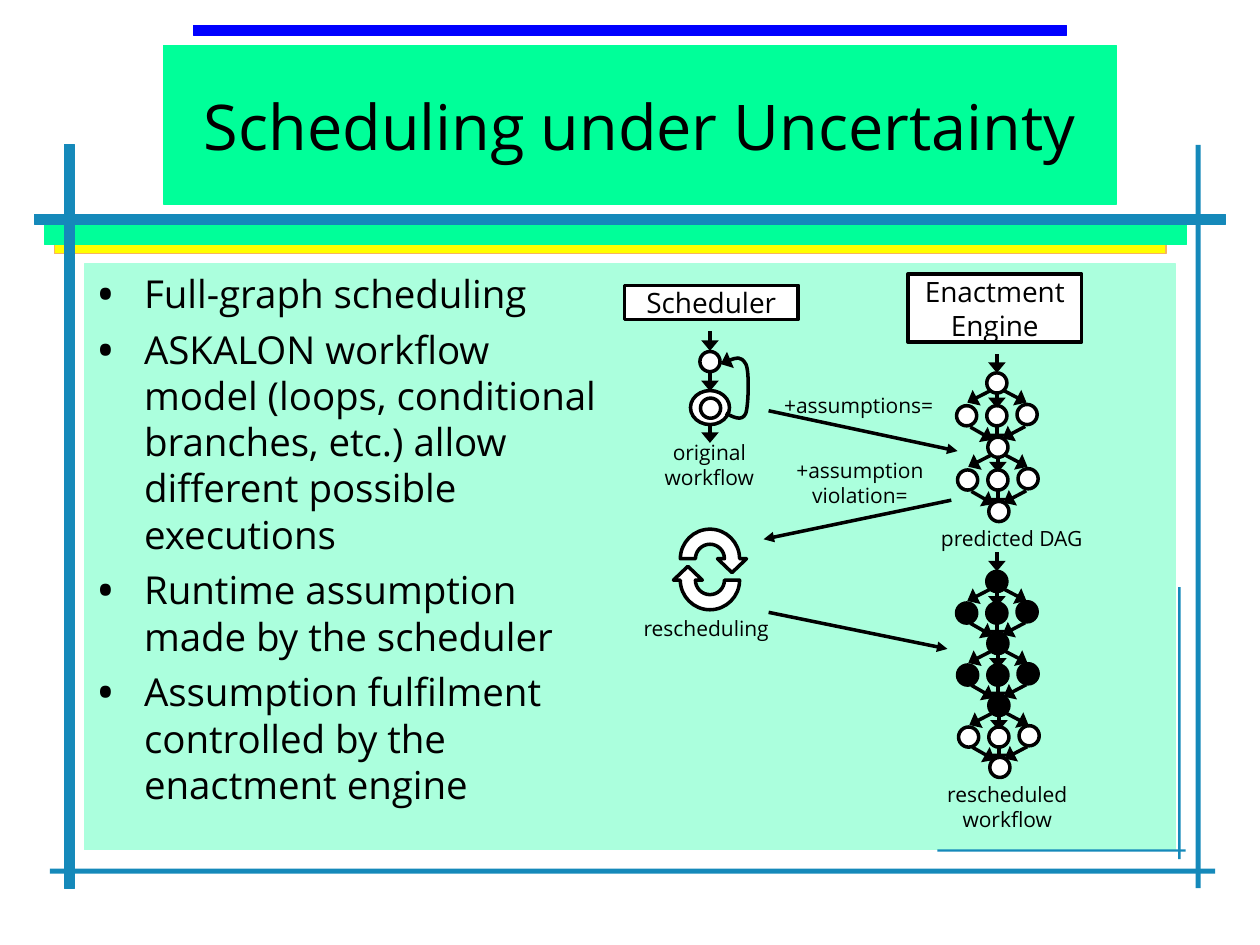
"""Build the slide on scheduling workflows under uncertainty, on a grid of 100 by 75 cells."""
from lxml.etree import SubElement
from pptx import Presentation
from pptx.dml.color import RGBColor
from pptx.enum.shapes import MSO_CONNECTOR as Connector, MSO_SHAPE as Preset
from pptx.enum.text import MSO_ANCHOR as Anchor, PP_ALIGN as Align
from pptx.oxml.ns import qn
from pptx.util import Inches, Pt

COLUMNS, ROWS = 100, 75
CELL = Inches(0.1)
FONT = "Open Sans"
BLACK = RGBColor(0x00, 0x00, 0x00)
WHITE = RGBColor(0xFF, 0xFF, 0xFF)
MINT = RGBColor(0xAB, 0xFF, 0xDD)
GREEN = RGBColor(0x00, 0xFF, 0x99)
YELLOW = RGBColor(0xFF, 0xFF, 0x00)
ORANGE = RGBColor(0xF8, 0xB4, 0x5F)
TEAL = RGBColor(0x15, 0x89, 0xBA)
BLUE = RGBColor(0x00, 0x00, 0xFF)

FRAME = [
    (6.7, 20.95, 86.6, 46.5, MINT, MINT),
    (13, 3.6, 75.6, 12.6, GREEN, GREEN),
    (4.35, 19.35, 88.2, 0.8, YELLOW, ORANGE),
    (3.55, 17.8, 90.6, 1.6, GREEN, GREEN),
    (5.1, 11.5, 0.8, 59, TEAL, TEAL),
    (2.75, 17, 94.5, 0.8, TEAL, TEAL),
    (15.35, 2, 69.3, 0.8, BLUE, BLUE),
    (3.95, 68.95, 92.5, 0.4, TEAL, None),
    (94.9, 11.5, 0.4, 59, TEAL, None),
    (93.5, 46.6, 0.2, 21.6, TEAL, None),
    (74.4, 67.4, 19.7, 0.2, TEAL, None),
]
BULLETS = [
    "Full-graph scheduling",
    "ASKALON workflow model (loops, conditional branches, etc.) allow different possible executions",
    "Runtime assumption made by the scheduler",
    "Assumption fulfilment controlled by the enactment engine",
]
LABELS = [
    (51.7, 34.4, 9.2, 5, ["original", "workflow"], False, Align.CENTER),
    (72.8, 41.2, 15, 3, ["predicted DAG"], True, Align.CENTER),
    (62.2, 35.8, 12.1, 5, ["+assumption", "violation="], False, Align.CENTER),
    (50.1, 48.4, 12.6, 3, ["rescheduling"], True, Align.LEFT),
    (61.2, 30.65, 13.9, 3, ["+assumptions="], False, Align.CENTER),
    (71.3, 61.55, 17.3, 5, ["rescheduled workflow"], True, Align.CENTER),
]
MESSAGES = [
    ((61, 32.6), (76, 35.8)),
    ((75.5, 39.7), (60.6, 42.8)),
    ((61, 48.6), (75.2, 51.5)),
]


def cells(*lengths):
    """Turn grid cells into slide lengths."""
    return [round(length * CELL) for length in lengths]


def style(shape, fill, line, width=2):
    """Set fill and outline of a shape and take its shadow away."""
    shape.shadow.inherit = False
    for paint, color in ((shape.fill, fill), (shape.line.fill, line)):
        if color is None:
            paint.background()
        else:
            paint.solid()
            paint.fore_color.rgb = color
    if line is not None:
        shape.line.width = Pt(width)


def add_preset(slide, preset, box, fill, line, width=2):
    """Add a filled preset shape, outlined if a line colour is given."""
    shape = slide.shapes.add_shape(preset, *cells(*box))
    style(shape, fill, line, width)
    return shape


def add_arrowhead(shape, head="lg"):
    """End the line of a shape in a triangle."""
    SubElement(shape.line._get_or_add_ln(), qn("a:tailEnd"), type="triangle", w=head, len="med")


def add_arrow(slide, start, end, head="lg"):
    """Add a straight black arrow."""
    arrow = slide.shapes.add_connector(Connector.STRAIGHT, *cells(*start, *end))
    arrow.line.color.rgb = BLACK
    arrow.line.width = Pt(2)
    add_arrowhead(arrow, head)
    SubElement(arrow._element.spPr, qn("a:effectLst"))


def add_node(slide, x, y, fill=WHITE, width=1.6, height=1.6):
    """Add a workflow node centred on a point."""
    box = (x - width / 2, y - height / 2, width, height)
    add_preset(slide, Preset.OVAL, box, fill, BLACK)


def add_outline(slide, start, segments, fill, close):
    """Add a black freeform of lines (one point each) and cubic curves (three points each)."""
    builder = slide.shapes.build_freeform(*cells(*start))
    points = [cells(*point) for segment in segments for point in segment]
    builder.add_line_segments(points, close=close)
    shape = builder.convert_to_shape()
    lines = iter(list(shape._element.iter(qn("a:lnTo"))))
    for segment in segments:
        group = [next(lines) for _ in segment]
        if len(group) == 3:
            curve = group[0].makeelement(qn("a:cubicBezTo"))
            group[0].addprevious(curve)
            for line in group:
                curve.append(line[0])
                line.getparent().remove(line)
    style(shape, fill, BLACK)
    return shape


def write(frame, lines, size, align=Align.CENTER, anchor=Anchor.TOP, wrap=True, spacing=None):
    """Fill a text frame with one paragraph per line."""
    frame.word_wrap = wrap
    frame.vertical_anchor = anchor
    for index, line in enumerate(lines):
        paragraph = frame.add_paragraph() if index else frame.paragraphs[0]
        paragraph.text = line
        paragraph.alignment = align
        paragraph.line_spacing = spacing
        paragraph.font.size = Pt(size)
        paragraph.font.name = FONT
        paragraph.font.color.rgb = BLACK


def add_text(slide, box, lines, size, **options):
    """Add a text box."""
    frame = slide.shapes.add_textbox(*cells(*box)).text_frame
    write(frame, lines, size, **options)
    return frame


def add_bullets(slide, box, lines):
    """Add the bulleted list."""
    frame = add_text(slide, box, lines, 22, align=Align.LEFT)
    for index, paragraph in enumerate(frame.paragraphs):
        if index:
            paragraph.space_before = Pt(5.5)
        properties = paragraph._p.get_or_add_pPr()
        properties.set("marL", str(Inches(0.38)))
        properties.set("indent", str(-Inches(0.38)))
        bullet = [("a:buSzPct", {"val": "130000"}), ("a:buFont", {"typeface": FONT}), ("a:buChar", {"char": "•"})]
        run_defaults = properties.find(qn("a:defRPr"))
        for tag, attributes in bullet:
            run_defaults.addprevious(properties.makeelement(qn(tag), attributes))


def add_actor(slide, box, lines):
    """Add a labelled box for one part of the system."""
    shape = add_preset(slide, Preset.ROUNDED_RECTANGLE, box, WHITE, BLACK)
    shape.adjustments[0] = 0
    frame = shape.text_frame
    frame.margin_left = frame.margin_right = frame.margin_top = frame.margin_bottom = 0
    write(frame, lines, 16, anchor=Anchor.MIDDLE, spacing=1.02)


def add_loop_workflow(slide, x=56.35):
    """Draw the original workflow with its loop."""
    add_node(slide, x, 32.35, width=3.1, height=2.7)
    add_node(slide, x + 0.05, 32.4)
    add_node(slide, x, 28.7)
    for top in (26.3, 29.5, 33.6):
        add_arrow(slide, (x, top), (x, top + 1.55))
    curves = [
        ((58.2, 33.1), (58.9, 33.5), (59.2, 32.8)),
        ((59.4, 32.2), (59.5, 29.5), (59.2, 28.9)),
        ((58.8, 28.2), (58, 28.5), (57.2, 28.9)),
    ]
    add_arrowhead(add_outline(slide, (57.6, 32.8), curves, None, False))


def half_circle(radius, y):
    """Return the two curves of an upper half circle that starts at the right; a negative radius starts at the left."""
    bend, top = 0.55 * radius, y - abs(radius)
    rise = y - abs(bend)
    return [
        [(radius, rise), (bend, top), (0, top)],
        [(-bend, top), (-radius, rise), (-radius, y)],
    ]


def add_cycle(slide, x=56.35, y=45.2, base=-0.85):
    """Draw two half-turn arrows, each the other turned about the centre."""
    inner, outer = 1.15, 2.35
    head = [[(2.9, base)], [(1.75, base + 1.1)], [(0.6, base)]]
    segments = half_circle(inner, base) + [[(-outer, base)]] + half_circle(-outer, base) + head
    for turn in (1, -1):
        turned = [[(x + turn * dx, y + turn * dy) for dx, dy in segment] for segment in segments]
        add_outline(slide, (x + turn * inner, y + turn * base), turned, WHITE, True)


def add_dag(slide, top, pitch, fills, x=79.12):
    """Draw a chain of diamonds, one per pair of fills for first and middle nodes."""
    add_arrow(slide, (x, top - 2.3), (x, top - 0.8))
    for first, middle in fills:
        bottom = top + pitch
        for dx, dy, end_x, end_y in ((0, 0.45, 0, 2), (0.55, 0.6, 2.35, 1.55), (-0.6, 0.65, -2.35, 1.55)):
            add_arrow(slide, (x + dx, top + dy), (x + end_x, top + end_y))
        add_node(slide, x, top, first)
        for dx, dy in ((2.4, -0.1), (-2.4, 0), (0, 0)):
            add_node(slide, x + dx, top + 0.51 * pitch + dy, middle)
        for dx, dy, end_x, end_y in ((-2.1, -1.6, -0.35, -0.6), (0, -1.8, 0, -0.25), (2.25, -1.65, 0.45, -0.7)):
            add_arrow(slide, (x + dx, bottom + dy), (x + end_x, bottom + end_y))
        x += 0.08
        top = bottom
    add_node(slide, x, top)


def main():
    """Build and save the slide."""
    presentation = Presentation()
    presentation.slide_width, presentation.slide_height = cells(COLUMNS, ROWS)
    slide = presentation.slides.add_slide(presentation.slide_layouts[6])
    for *box, fill, line in FRAME:
        add_preset(slide, Preset.RECTANGLE, box, fill, line, 0.75)
    add_text(slide, (13, 3.7, 75.6, 12.5), ["Scheduling under Uncertainty"], 36, anchor=Anchor.MIDDLE)
    add_bullets(slide, (6.65, 20.95, 42.5, 46), BULLETS)
    add_actor(slide, (49.55, 22.65, 13.8, 2.7), ["Scheduler"])
    add_actor(slide, (72.05, 21.75, 13.8, 5.4), ["Enactment", "Engine"])
    add_loop_workflow(slide)
    add_dag(slide, 30.4, 5.1, [(WHITE, WHITE)] * 2)
    add_dag(slide, 46.15, 4.92, [(BLACK, BLACK)] * 2 + [(BLACK, WHITE)])
    add_cycle(slide)
    for start, end in MESSAGES:
        add_arrow(slide, start, end, "med")
    for *box, lines, wrap, align in LABELS:
        add_text(slide, box, lines, 12, wrap=wrap, align=align)
    presentation.save("out.pptx")


if __name__ == "__main__":
    main()
